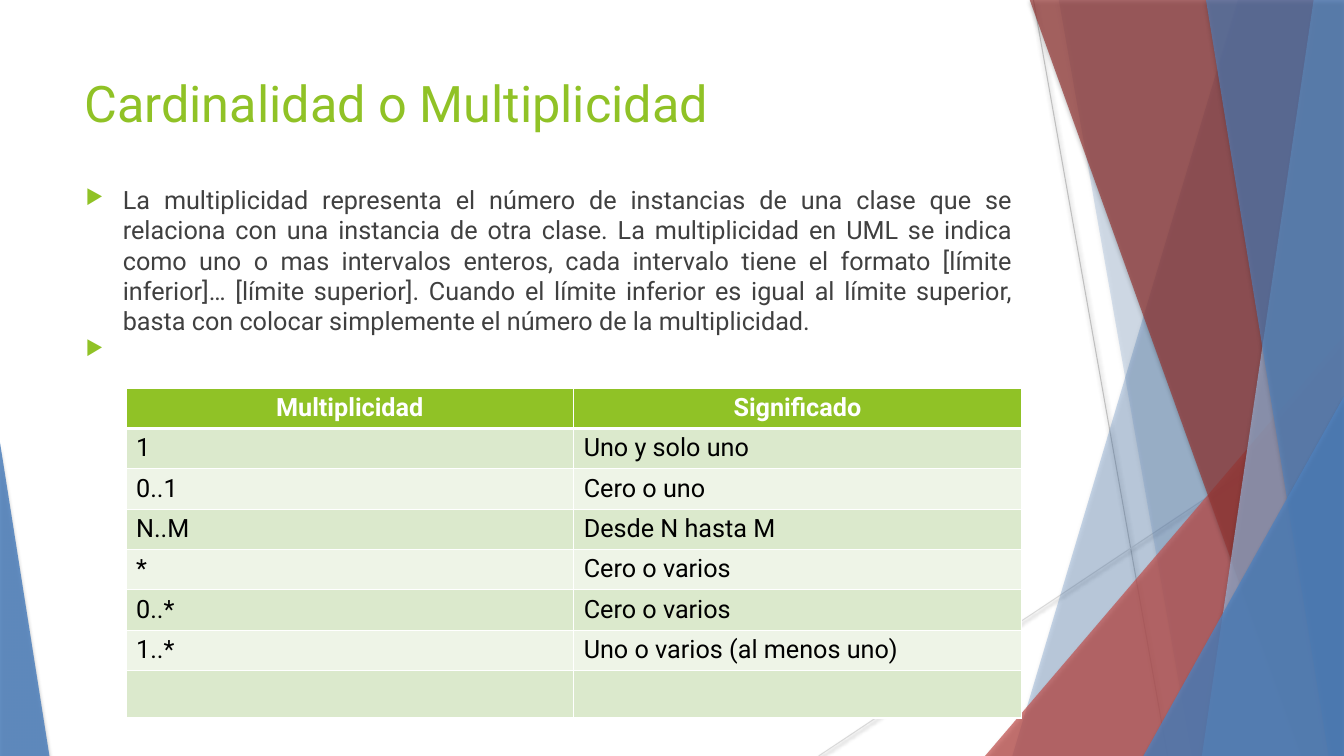
from dataclasses import dataclass

from lxml.etree import SubElement as Sub
from pptx import Presentation
from pptx.dml.color import RGBColor
from pptx.enum.shapes import MSO_CONNECTOR as Conn, MSO_SHAPE as Geom
from pptx.enum.text import MSO_ANCHOR as Anchor, PP_ALIGN as Align
from pptx.oxml.ns import qn
from pptx.util import Inches, Pt

GREEN, BLUE, RED, WHITE = "90C226", "4F81BD", "C0504D", "FFFFFF"
WIDE, HIGH, LEAD = 13.33, 7.5, -0.01


@dataclass
class Ray:
    start: tuple[float, float]
    end: tuple[float, float]
    color: str


@dataclass
class Pane:
    """Band from its left edge to the right side of the slide."""
    top: float
    base: float
    color: str
    alpha: int


@dataclass
class Wedge:
    """Triangle standing on the bottom of the slide."""
    left: float
    top: float
    width: float
    peak: int
    color: str
    alpha: int


RAYS = [
    Ray((10.25, 0), (11.58, HIGH), "BFBFBF"),
    Ray((WIDE, 4.03), (8.12, HIGH), "D9D9D9"),
]
DECOR = [
    Pane(12.28, 10.04, BLUE, 30),
    Pane(10.5, 11.82, BLUE, 20),
    Wedge(9.77, 3.33, 3.56, 1, RED, 72),
    Pane(10.21, 12.91, "953735", 70),
    Pane(13.03, 11.92, "95B3D7", 70),
    Pane(11.96, 13.18, BLUE, 65),
    Wedge(11.34, 3.93, 1.99, 1, BLUE, 80),
    Wedge(0, 4.39, 0.49, 0, BLUE, 85),
]
TITLE = "Cardinalidad o Multiplicidad"
BODY = (
    "La multiplicidad representa el número de instancias de una clase que se "
    "relaciona con una instancia de otra clase. La multiplicidad en UML se indica "
    "como uno o mas intervalos enteros, cada intervalo tiene el formato [límite "
    "inferior]… [límite superior]. Cuando el límite inferior es igual al límite "
    "superior, basta con colocar simplemente el número de la multiplicidad."
)
ROWS = [
    ("Multiplicidad", "Significado"),
    ("1", "Uno y solo uno"),
    ("0..1", "Cero o uno"),
    ("N..M", "Desde N hasta M"),
    ("*", "Cero o varios"),
    ("0..*", "Cero o varios"),
    ("1..*", "Uno o varios (al menos uno)"),
    ("", ""),
]


def rgb(color: str) -> RGBColor:
    return RGBColor.from_string(color)


def apply(obj, vals: dict) -> None:
    for name, val in vals.items():
        setattr(obj, name, val)


def tint(parent, color: str, alpha: int = 100) -> None:
    node = Sub(parent, qn("a:srgbClr"), val=color)
    if alpha < 100:
        Sub(node, qn("a:alpha"), val=str(alpha * 1000))


def shade(list_node, alpha: int, blur: float, dist: float) -> None:
    drop = Sub(list_node, qn("a:outerShdw"), blurRad=str(Pt(blur)),
               dist=str(Pt(dist)), dir="5400000", algn="ctr", rotWithShape="0")
    tint(drop, "000000", alpha)


def draw_ray(ray: Ray) -> None:
    ends = [Inches(v) for v in (*ray.start, *ray.end)]
    line = shapes.add_connector(Conn.STRAIGHT, *ends)
    line.line.color.rgb = rgb(ray.color)
    line.line.width = Pt(0.74)
    shade(Sub(line._element.spPr, qn("a:effectLst")), 38, 3.1, 1.6)


def draw_decor(item: Pane | Wedge) -> None:
    if isinstance(item, Pane):
        pts = [(Inches(x), Inches(y)) for x, y in (
            (item.top, LEAD), (WIDE, LEAD), (WIDE, HIGH), (item.base, HIGH))]
        pen = shapes.build_freeform(*pts[0])
        pen.add_line_segments(pts[1:], close=True)
        shape = pen.convert_to_shape()
    else:
        box = (item.left, item.top, item.width, HIGH - item.top)
        shape = shapes.add_shape(Geom.ISOSCELES_TRIANGLE, *map(Inches, box))
        shape.adjustments[0] = item.peak
    shape.fill.solid()
    shape.fill.fore_color.rgb = rgb(item.color)
    hue = shape._element.spPr.find(qn("a:solidFill"))[0]
    Sub(hue, qn("a:alpha"), val=str(item.alpha * 1000))
    shape.line.fill.background()
    shape.shadow.inherit = False
    shade(shape._element.spPr.find(qn("a:effectLst")), 35, 3, 2)


def write(para, text: str, size: int, color: str, bold: bool = False) -> None:
    run = para.add_run()
    run.text = text
    apply(run.font, {"name": "Roboto", "size": Pt(size), "bold": bold})
    run.font.color.rgb = rgb(color)


def add_text(top: float, height: float):
    box = shapes.add_textbox(*map(Inches, (0.74, top, 9.4, height)))
    apply(box.text_frame, {"word_wrap": True, "vertical_anchor": Anchor.TOP})
    return box.text_frame


def bullet(para) -> None:
    para.alignment = Align.JUSTIFY
    props = para._p.get_or_add_pPr()
    props.set("marL", str(Inches(0.38)))
    props.set("indent", str(Inches(-0.37)))
    tint(Sub(props, qn("a:buClr")), GREEN)
    Sub(props, qn("a:buSzPct"), val="80000")
    Sub(props, qn("a:buChar"), char="▶")


def border(cell, side: str, width: float) -> None:
    edge = Sub(cell._tc.get_or_add_tcPr(), qn("a:ln" + side), w=str(Pt(width)))
    tint(Sub(edge, qn("a:solidFill")), WHITE)


def fill_cell(cell, text: str, row: int) -> None:
    head = row == 0
    thick = {"T": row == 1, "B": head}
    for side in "LRTB":
        border(cell, side, 3 if thick.get(side) else 0.96)
    cell.fill.solid()
    cell.fill.fore_color.rgb = rgb(GREEN if head else ("EEF4E7", "DBE9CC")[row % 2])
    para = cell.text_frame.paragraphs[0]
    para.alignment = Align.CENTER if head else Align.LEFT
    if text:
        write(para, text, 18, WHITE if head else "000000", head)


deck = Presentation()
apply(deck, {"slide_width": Inches(WIDE), "slide_height": Inches(HIGH)})
shapes = deck.slides.add_slide(deck.slide_layouts[6]).shapes

# Backdrop
for ray in RAYS:
    draw_ray(ray)
for item in DECOR:
    draw_decor(item)

# Title and bullets
write(add_text(0.67, 0.88).paragraphs[0], TITLE, 36, GREEN)
frame = add_text(1.78, 4.82)
for para, text in ((frame.paragraphs[0], BODY), (frame.add_paragraph(), " ")):
    bullet(para)
    write(para, text, 18, "404040")

# Table of meanings
place = map(Inches, (1.25, 3.85, 8.88, 3.2))
table = shapes.add_table(len(ROWS), 2, *place).table
for col in table.columns:
    col.width = Inches(4.44)
for i, texts in enumerate(ROWS):
    table.rows[i].height = Inches(0.47 if i == len(ROWS) - 1 else 0.39)
    for j, text in enumerate(texts):
        fill_cell(table.cell(i, j), text, i)

deck.save("out.pptx")
